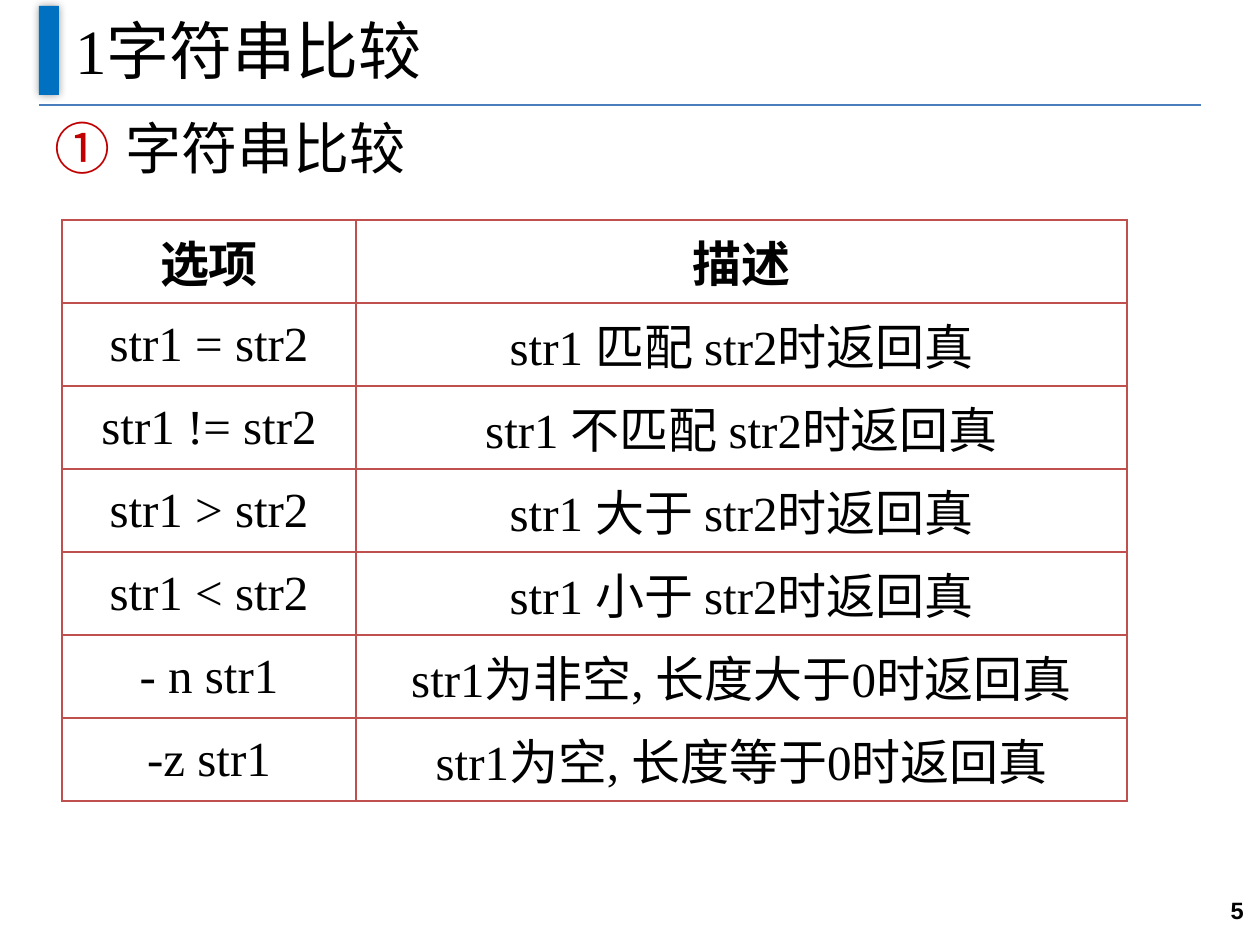
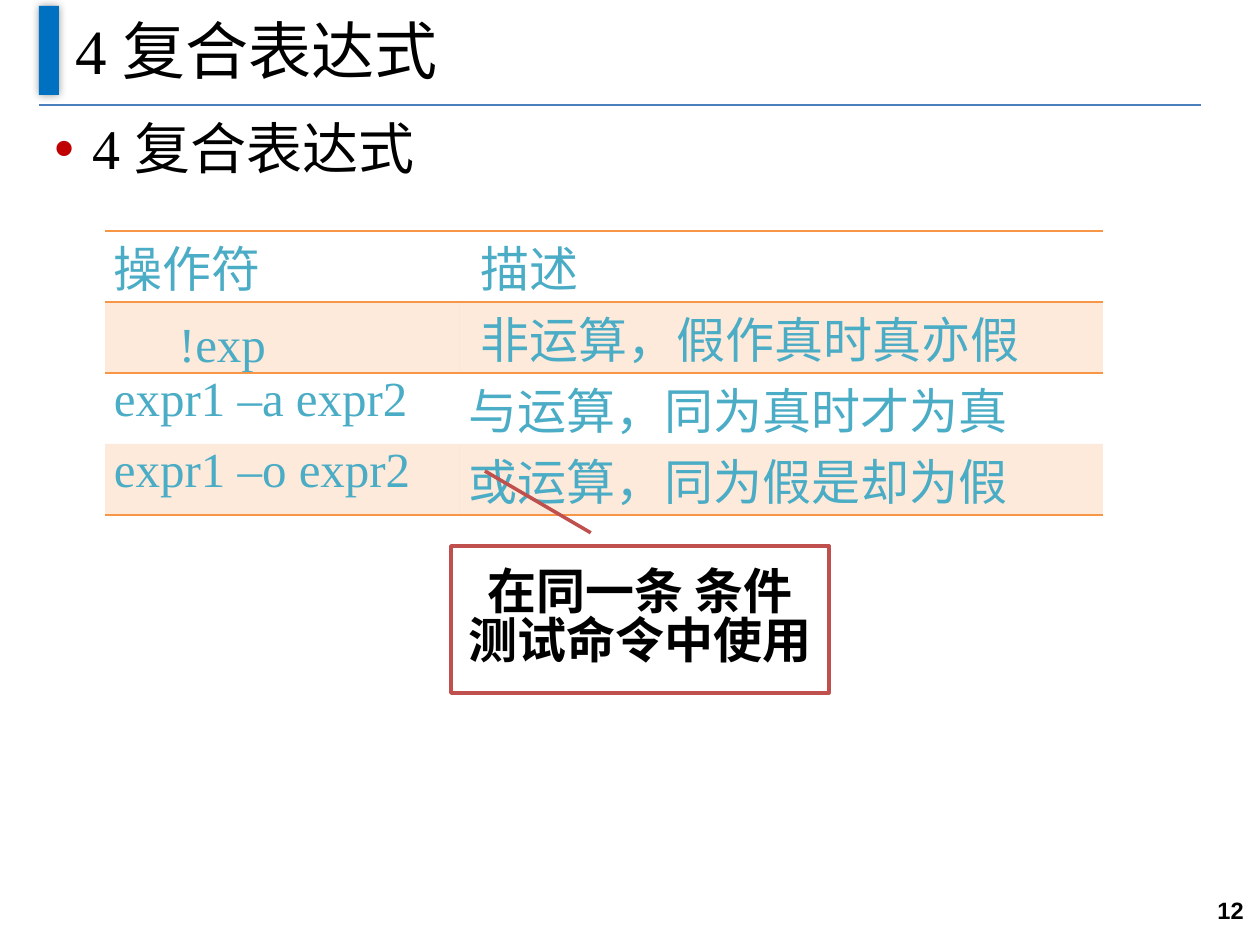
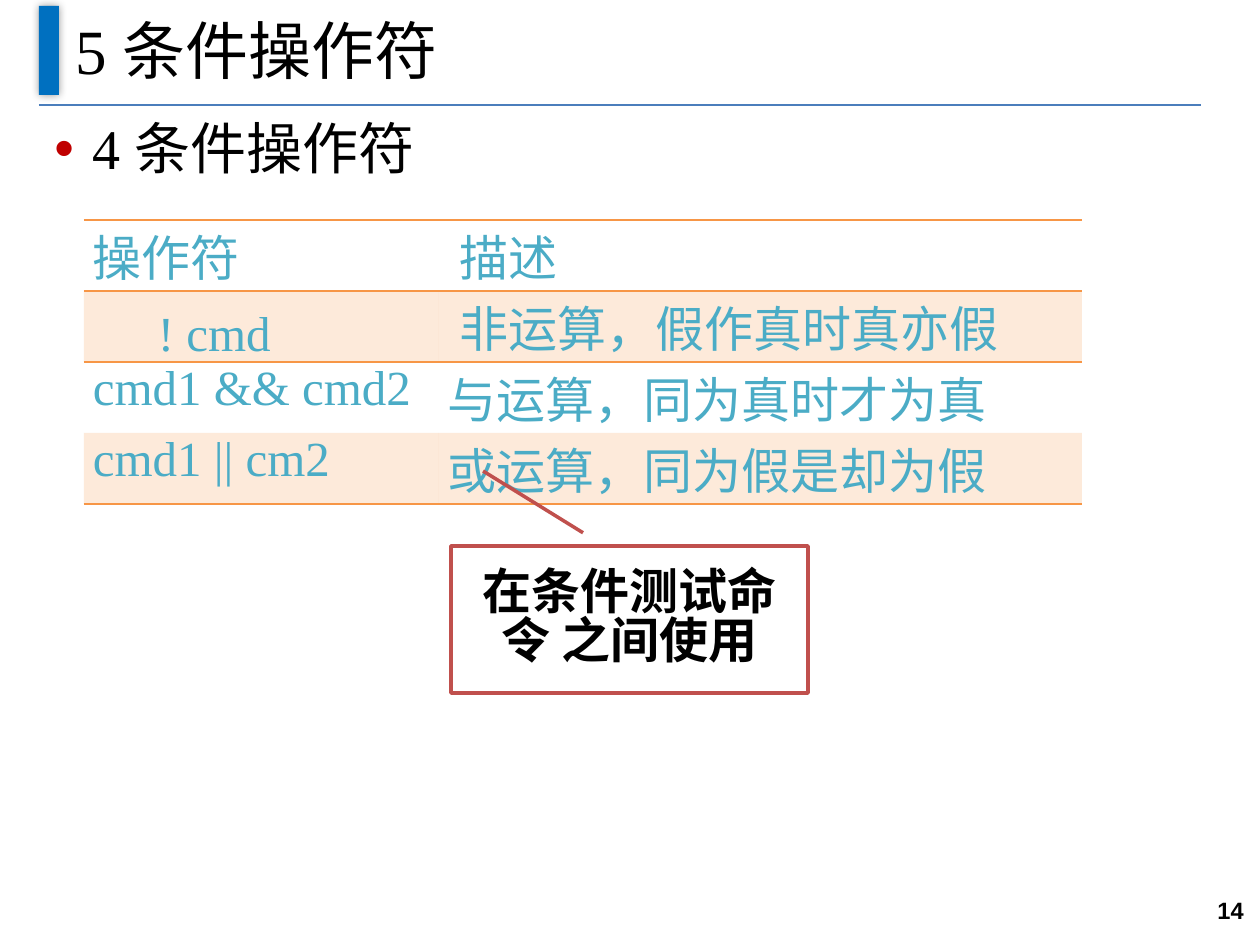
"""Build three slides on shell string comparison, compound expressions and condition operators."""
from lxml import etree
from pptx import Presentation
from pptx.dml.color import RGBColor
from pptx.enum import shapes, text
from pptx.oxml import ns
from pptx.util import Inches, Pt

PX = 7257
SERIF, SANS = "Times New Roman", "Arial"
BLACK, WHITE, RED, BULLET = "000000", "FFFFFF", "C0504D", "C00000"
BLUE, RULE, ORANGE, TEAL = "0070C0", "4B7EBC", "F79646", "4BACC6"
NO_STYLE = "{2D5ABB26-0587-4C30-8999-92F81FD0307C}"
LEFT, CENTER, RIGHT, JUSTIFY = (
    text.PP_ALIGN.LEFT, text.PP_ALIGN.CENTER, text.PP_ALIGN.RIGHT, text.PP_ALIGN.JUSTIFY)
MIDDLE, TOP, BOTTOM = text.MSO_ANCHOR.MIDDLE, text.MSO_ANCHOR.TOP, text.MSO_ANCHOR.BOTTOM


def write(frame, words, size, align, color=BLACK, bold=False, font=SERIF):
    """Fill a text frame with one styled paragraph."""
    frame.word_wrap = True
    para = frame.paragraphs[0]
    para.text = words
    para.alignment = align
    para.font.size, para.font.name, para.font.bold = Pt(size), font, bold
    para.font.color.rgb = RGBColor.from_string(color)
    return para


def add(parent, tag, **attributes):
    """Append a drawing element with attributes."""
    return etree.SubElement(parent, ns.qn(f"a:{tag}"), attributes)


operator_rows = [
    ("操作符", "描述"),
    ("", "非运算，假作真时真亦假"),
    ("", "与运算，同为真时才为真"),
    ("", "或运算，同为假是却为假"),
]
comparison_rows = [
    ("选项", "描述"),
    ("str1 = str2", "str1 匹配 str2时返回真"),
    ("str1 != str2", "str1 不匹配 str2时返回真"),
    ("str1 > str2", "str1 大于 str2时返回真"),
    ("str1 < str2", "str1 小于 str2时返回真"),
    ("- n str1", "str1为非空, 长度大于0时返回真"),
    ("-z str1", "str1为空, 长度等于0时返回真"),
]
expression_operators = ["操作符", "!exp", "expr1 –a expr2", "expr1 –o expr2"]
command_operators = ["操作符", "! cmd", "cmd1 && cmd2", "cmd1 || cm2"]
expression_rows, command_rows = (
    [(name, row[1]) for name, row in zip(names, operator_rows)]
    for names in (expression_operators, command_operators))

lessons = [
    ("1字符串比较", "字符串比较", 5, comparison_rows, (62, 220), None),
    ("4 复合表达式", "4 复合表达式", 12, expression_rows, (105, 231),
     ("在同一条 条件测试命令中使用", 378)),
    ("5 条件操作符", "4 条件操作符", 14, command_rows, (84, 220),
     ("在条件测试命令 之间使用", 357)),
]

deck = Presentation()
deck.slide_width, deck.slide_height = Inches(10), Inches(7.5)

for title, heading, number, rows, (left, top), callout in lessons:
    page = deck.slides.add_slide(deck.slide_layouts[6])
    numbered = callout is None

    rule = page.shapes.add_connector(
        shapes.MSO_CONNECTOR.STRAIGHT, 39 * PX, 105 * PX, 1201 * PX, 105 * PX)
    rule.line.color.rgb = RGBColor.from_string(RULE)
    rule.line.width = Pt(0.75)
    add(rule._element.spPr, "effectLst")

    bar = page.shapes.add_shape(
        shapes.MSO_SHAPE.RECTANGLE, 39 * PX, 6 * PX, 20 * PX, 89 * PX)
    bar.fill.solid()
    bar.fill.fore_color.rgb = RGBColor.from_string(BLUE)
    bar.line.fill.background()
    bar.shadow.inherit = False
    effects = bar._element.spPr.find(ns.qn("a:effectLst"))
    shadow = add(effects, "outerShdw", blurRad=str(Pt(5)), dist="0", dir="0")
    add(add(shadow, "srgbClr", val=BLACK), "alpha", val="40000")

    box = page.shapes.add_textbox(63 * PX, -4 * PX, 1134 * PX, 106 * PX)
    box.text_frame.vertical_anchor = MIDDLE
    write(box.text_frame, title, 36, LEFT)

    box = page.shapes.add_textbox(42 * PX, 115 * PX, 1157 * PX, 799 * PX)
    properties = box.text_frame.paragraphs[0]._p.get_or_add_pPr()
    indent = (71 if numbered else 38) * PX
    properties.set("marL", str(indent))
    properties.set("indent", str(-indent))
    add(add(properties, "buClr"), "srgbClr", val=BULLET)
    if numbered:
        add(properties, "buAutoNum", type="circleNumDbPlain")
    else:
        add(properties, "buFont", typeface=SANS)
        add(properties, "buChar", char="•")
    para = write(box.text_frame, heading, 32, JUSTIFY)
    para.line_spacing = 0.9
    para.space_after = Pt(4.5)

    box = page.shapes.add_textbox(1139 * PX, 876 * PX, 117 * PX, 69 * PX)
    box.text_frame.vertical_anchor = MIDDLE
    write(box.text_frame, str(number), 13.5, RIGHT, bold=True, font=SANS)

    widths = (294, 771) if numbered else (355, 643)
    row_height = 83 if numbered else 71
    frame = page.shapes.add_table(
        len(rows), 2, left * PX, top * PX, sum(widths) * PX, len(rows) * row_height * PX)
    table = frame.table
    table.first_row = table.horz_banding = False
    table._tbl.tblPr.find(ns.qn("a:tableStyleId")).text = NO_STYLE
    for column, width in zip(table.columns, widths):
        column.width = width * PX
    for r, row in enumerate(rows):
        table.rows[r].height = row_height * PX
        for c, words in enumerate(row):
            cell = table.cell(r, c)
            cell.margin_left = cell.margin_right = (6 if numbered else 9) * PX
            cell.margin_top = cell.margin_bottom = (6 if numbered else 0) * PX
            if numbered:
                write(cell.text_frame, words, 28, CENTER, bold=r == 0)
                cell.vertical_anchor = MIDDLE if r else TOP
                sides, border = "LRTB", RED
            else:
                para = write(cell.text_frame, words, 28, JUSTIFY, TEAL)
                indent = {(0, 1): 12, (1, 0): 65, (1, 1): 12}.get((r, c), 0)
                para._p.get_or_add_pPr().set("marL", str(indent * PX))
                cell.vertical_anchor = BOTTOM if (r, c) == (1, 0) else TOP
                sides, border = {0: "TB", 1: "T", 3: "B"}.get(r, ""), ORANGE
            for side in sides:
                line = add(cell._tc.get_or_add_tcPr(), f"ln{side}", w=str(Pt(1)))
                add(add(line, "solidFill"), "srgbClr", val=border)
            if not numbered and r % 2:
                cell.fill.solid()
                cell.fill.fore_color.rgb = RGBColor.from_string(ORANGE)
                tint = cell._tc.tcPr.find(ns.qn("a:solidFill"))[0]
                add(tint, "alpha", val="20000")
            else:
                cell.fill.background()

    if callout:
        words, width = callout
        note = page.shapes.add_shape(
            shapes.MSO_SHAPE.LINE_CALLOUT_1, 451 * PX, 546 * PX, width * PX, 147 * PX)
        for i, value in enumerate((-0.09, 0.37, -0.51, 0.09)):
            note.adjustments[i] = value
        note.shadow.inherit = False
        note.fill.solid()
        note.fill.fore_color.rgb = RGBColor.from_string(WHITE)
        note.line.color.rgb = RGBColor.from_string(RED)
        note.line.width = Pt(2)
        note.text_frame.vertical_anchor = MIDDLE
        write(note.text_frame, words, 28, CENTER, bold=True).line_spacing = 0.83

deck.save("out.pptx")
